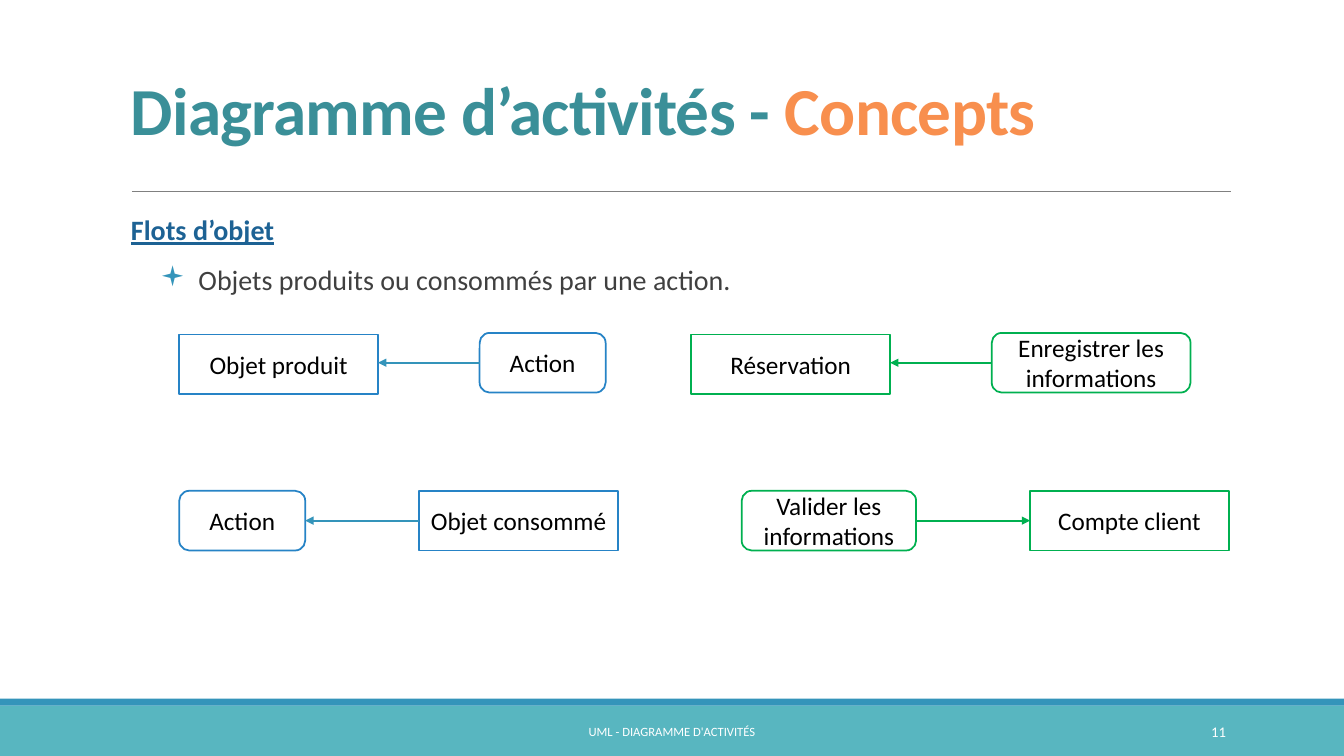
import pptx
import pptx.dml.color
import pptx.enum.shapes
import pptx.enum.text
import pptx.oxml.ns
import pptx.util
from lxml import etree

Pt = pptx.util.Pt
SHAPE = pptx.enum.shapes.MSO_SHAPE
ALIGN = pptx.enum.text.PP_ALIGN
ANCHOR = pptx.enum.text.MSO_ANCHOR

WIDTH, HEIGHT = 960, 540
BLUE, GREEN = "2683C6", "00B050"
ACCENT, TEAL, WHITE = "3494BA", "58B6C0", "FFFFFF"
TITLE = [("Diagramme d’activités - ", "3A8F98"), ("Concepts", "F88F4E")]
HEADING = "Flots d’objet"
BULLET = "Objets produits ou consommés par une action."
FOOTER = "UML - DIAGRAMME D'ACTIVITÉS"
PAGE = "11"

NODE_HEIGHT = 42.6
OBJECT_WIDTH = 142
PRODUCED, CONSUMED = 237.8, 350.6
OBJECT_DROP = 1.2
FLOWS = [
    {"top": PRODUCED, "drop": OBJECT_DROP, "line": BLUE, "arrow": ACCENT,
     "action": ("Action", 342.6, 90), "object": ("Objet produit", 128),
     "from_action": True},
    {"top": CONSUMED, "drop": 0, "line": BLUE, "arrow": ACCENT,
     "action": ("Action", 128, 90), "object": ("Objet consommé", 299.4),
     "from_action": False},
    {"top": PRODUCED, "drop": OBJECT_DROP, "line": GREEN, "arrow": GREEN,
     "action": ("Enregistrer les informations", 708.4, 142), "object": ("Réservation", 493.8),
     "from_action": True},
    {"top": CONSUMED, "drop": 0, "line": GREEN, "arrow": GREEN,
     "action": ("Valider les informations", 529.8, 124.6), "object": ("Compte client", 735.8),
     "from_action": True},
]

presentation = pptx.Presentation()
presentation.slide_width, presentation.slide_height = Pt(WIDTH), Pt(HEIGHT)
slide = presentation.slides.add_slide(presentation.slide_layouts[6])


def color(value):
    return pptx.dml.color.RGBColor.from_string(value)


def write(text, paragraph, size=18, fill="000000", bold=False, underline=False,
          align=ALIGN.LEFT, spacing=None):
    paragraph.alignment = align
    if spacing:
        paragraph.line_spacing = spacing
    run = paragraph.add_run()
    run.text = text
    font = run.font
    font.name, font.size, font.bold, font.underline = "Calibri", Pt(size), bold, underline
    font.color.rgb = color(fill)
    return run


def add_text_frame(left, top, width, height, anchor):
    frame = slide.shapes.add_textbox(Pt(left), Pt(top), Pt(width), Pt(height)).text_frame
    frame.word_wrap = True
    frame.vertical_anchor = anchor
    return frame


def add_box(kind, left, top, width, height, fill, line=None):
    shape = slide.shapes.add_shape(kind, Pt(left), Pt(top), Pt(width), Pt(height))
    shape.shadow.inherit = False
    shape.fill.solid()
    shape.fill.fore_color.rgb = color(fill)
    if line:
        shape.line.color.rgb = color(line)
        shape.line.width = Pt(1.25)
    else:
        shape.line.fill.background()
    return shape


def add_node(kind, text, left, top, width, line):
    shape = add_box(kind, left, top, width, NODE_HEIGHT, WHITE, line)
    shape.text_frame.word_wrap = True
    shape.text_frame.vertical_anchor = ANCHOR.MIDDLE
    write(text, shape.text_frame.paragraphs[0], align=ALIGN.CENTER)


def add_line(start, end, y, stroke, weight, arrow=False):
    connector = slide.shapes.add_connector(
        pptx.enum.shapes.MSO_CONNECTOR.STRAIGHT, Pt(start), Pt(y), Pt(end), Pt(y))
    connector.line.color.rgb = color(stroke)
    connector.line.width = Pt(weight)
    if arrow:
        line = connector.line._get_or_add_ln()
        etree.SubElement(line, pptx.oxml.ns.qn("a:tailEnd"), type="triangle")
    etree.SubElement(connector._element.spPr, pptx.oxml.ns.qn("a:effectLst"))


def set_indent(paragraph, margin, indent):
    properties = paragraph._p.get_or_add_pPr()
    properties.set("marL", str(Pt(margin)))
    properties.set("indent", str(Pt(indent)))
    return properties


def add_bullet(paragraph, margin, indent, symbol, fill):
    properties = set_indent(paragraph, margin, indent)
    bullet_color = etree.SubElement(properties, pptx.oxml.ns.qn("a:buClr"))
    etree.SubElement(bullet_color, pptx.oxml.ns.qn("a:srgbClr"), val=fill)
    etree.SubElement(properties, pptx.oxml.ns.qn("a:buFont"), typeface="Wingdings")
    etree.SubElement(properties, pptx.oxml.ns.qn("a:buChar"), char=symbol)


def add_flow(flow):
    action_text, action_left, action_width = flow["action"]
    object_text, object_left = flow["object"]
    top = flow["top"]
    add_node(SHAPE.ROUNDED_RECTANGLE, action_text, action_left, top, action_width, flow["line"])
    add_node(SHAPE.RECTANGLE, object_text, object_left, top + flow["drop"],
             OBJECT_WIDTH, flow["line"])
    if action_left < object_left:
        ends = [action_left + action_width, object_left]
    else:
        ends = [action_left, object_left + OBJECT_WIDTH]
    if not flow["from_action"]:
        ends.reverse()
    add_line(*ends, top + NODE_HEIGHT / 2, flow["arrow"], 1.5, arrow=True)


add_box(SHAPE.RECTANGLE, 0, 504, WIDTH, 36, TEAL)
add_box(SHAPE.RECTANGLE, 0, 499, WIDTH, 5, ACCENT)
add_line(94.3, 879, 136.8, "808080", 0.5)

title = add_text_frame(86.4, 22, 792, 88, ANCHOR.BOTTOM).paragraphs[0]
for part, fill in TITLE:
    run = write(part, title, size=48, fill=fill, bold=True, spacing=0.85)
    run._r.get_or_add_rPr().set("spc", "-50")

body = add_text_frame(86.4, 151.2, 837.4, 70, ANCHOR.TOP)
body.margin_left = body.margin_right = 0
heading, bullet = body.paragraphs[0], body.add_paragraph()
write(HEADING, heading, size=20, fill="1D6294", bold=True, underline=True, spacing=0.9)
write(BULLET, bullet, size=20, fill="404040", spacing=0.9)
for paragraph in (heading, bullet):
    paragraph.space_before, paragraph.space_after = Pt(12), Pt(2)
set_indent(heading, 7.2, 0)
add_bullet(bullet, 55.4, -27.4, "▪", ACCENT)

for flow in FLOWS:
    add_flow(flow)

for text, left, width, size, align in [(FOOTER, 290.2, 379.4, 9, ALIGN.CENTER),
                                       (PAGE, 779.8, 103, 10.5, ALIGN.RIGHT)]:
    frame = add_text_frame(left, 508.4, width, 28.8, ANCHOR.MIDDLE)
    write(text, frame.paragraphs[0], size=size, fill=WHITE, align=align)

presentation.save("out.pptx")
